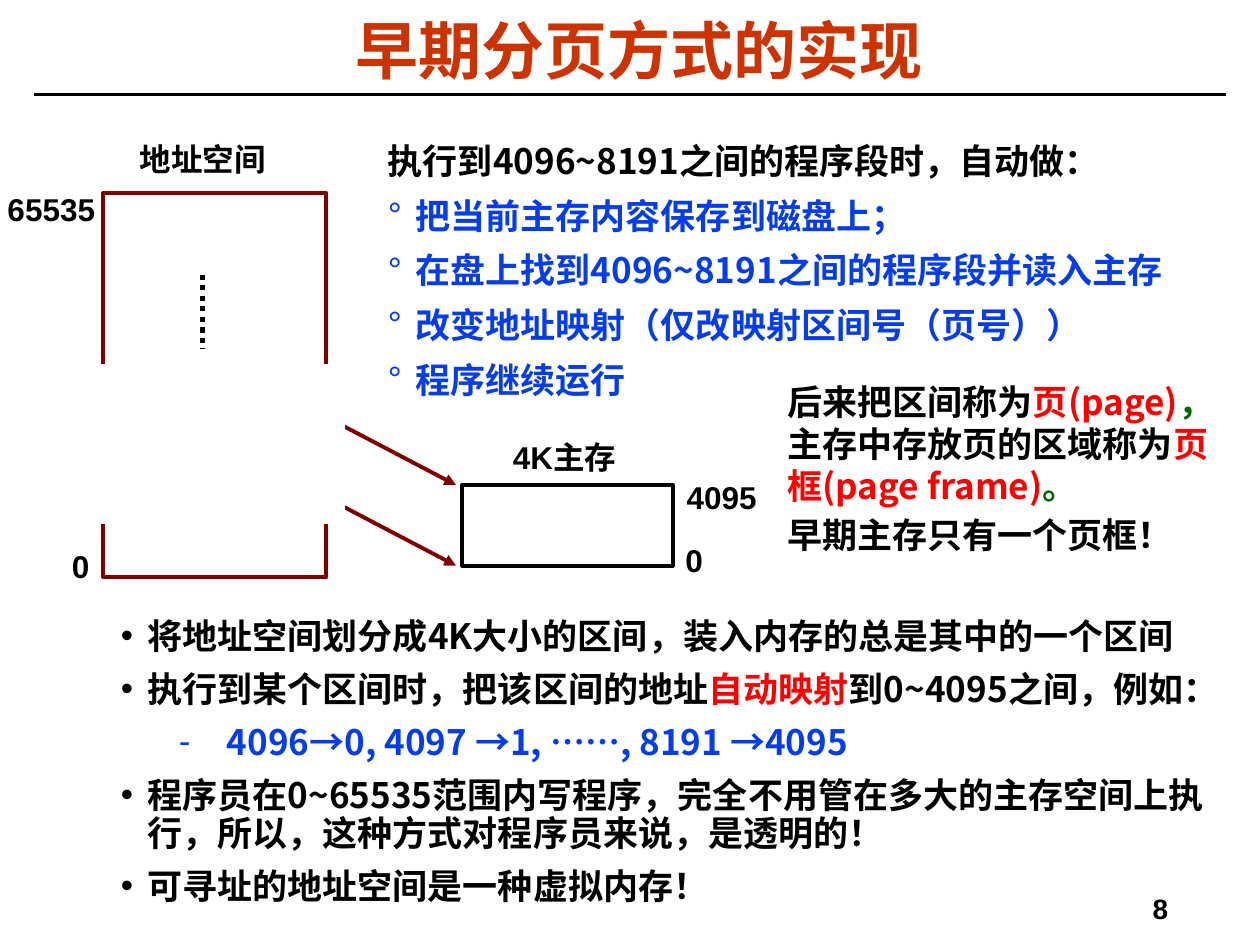
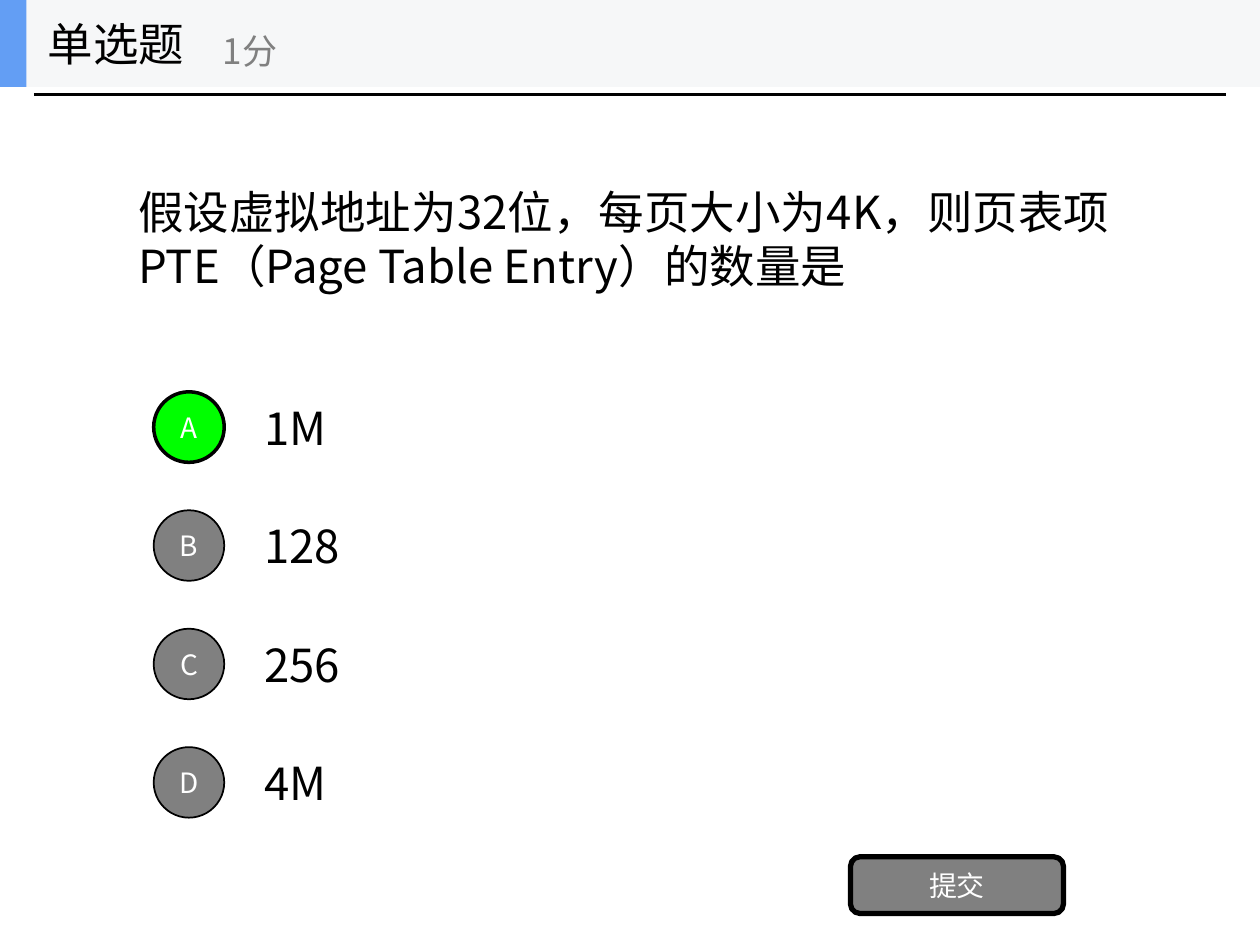
"""Build two slides: early paging implementation and a single-choice question."""
import pptx
import pptx.dml.color
import pptx.enum.dml
import pptx.enum.shapes
import pptx.enum.text
import pptx.oxml.ns
import pptx.util
from lxml import etree

Inches, Pt = pptx.util.Inches, pptx.util.Pt
SHAPE = pptx.enum.shapes.MSO_SHAPE
ANCHOR = pptx.enum.text.MSO_ANCHOR
ALIGN = pptx.enum.text.PP_ALIGN
qn = pptx.oxml.ns.qn

COLORS = {
    "black": "000000", "white": "FFFFFF", "title": "CC3300", "blue": "063DE8",
    "red": "FF0000", "green": "006600", "maroon": "800000", "gray": "808080",
    "correct": "00FF00", "band": "F6F7F8", "accent": "639EF4",
}
SANS, CJK = "Arial", "Noto Sans CJK SC"
PADDING = (0.1, 0.05)

TITLE = "早期分页方式的实现"
SUMMARY = [
    (1, [("将地址空间划分成4K大小的区间，装入内存的总是其中的一个区间", "black")]),
    (1, [("执行到某个区间时，把该区间的地址", "black"), ("自动映射", "red"),
         ("到0~4095之间，例如：", "black")]),
    (2, [("4096→0, 4097 →1, ……, 8191 →4095", "blue")]),
    (1, [("程序员在0~65535范围内写程序，完全不用管在多大的主存空间上执行，"
          "所以，这种方式对程序员来说，是透明的！", "black")]),
    (1, [("可寻址的地址空间是一种虚拟内存！", "black")]),
]
LEVELS = {1: ("•", "black", 0.75, -0.21), 2: ("-", "blue", 1.38, -0.38)}
STEPS_HEAD = "执行到4096~8191之间的程序段时，自动做："
STEPS = [
    "把当前主存内容保存到磁盘上；",
    "在盘上找到4096~8191之间的程序段并读入主存",
    "改变地址映射（仅改映射区间号（页号））",
    "程序继续运行",
]
PAGE_NOTE = [
    [("后来把区间称为", "black"), ("页(page)", "red"), ("，", "green"),
     ("主存中存放页的区域称为", "black"), ("页框(page frame)", "red"), ("。", "green")],
    [("早期主存只有一个页框！", "black")],
]
LABELS = [
    ("地址空间", 1.11, 1.11, 2.07),
    ("4K主存", 4.07, 3.48, 1.13),
    ("0", 5.44, 4.29, 0.44),
    ("4095", 5.45, 3.79, 0.74),
    ("0", 0.57, 4.34, 0.44),
    ("65535", 0.06, 1.51, 0.74),
]
QUESTION = "假设虚拟地址为32位，每页大小为4K，则页表项PTE（Page Table Entry）的数量是"
OPTIONS = [("A", "1M"), ("B", "128"), ("C", "256"), ("D", "4M")]
ANSWER = "A"


def rgb(name):
    return pptx.dml.color.RGBColor.from_string(COLORS[name])


def write(p, parts, size, font=CJK, bold=False, leading=None, before=0, align=None):
    """Fill a paragraph with (text, colour) parts."""
    for text, color in parts:
        r = p.add_run()
        r.text = text
        r.font.size, r.font.bold, r.font.name = Pt(size), bold, font
        r.font.color.rgb = rgb(color)
        etree.SubElement(r.font._element, qn("a:ea"), typeface=CJK)
    p.space_before = Pt(before)
    if leading:
        p.line_spacing = Pt(leading)
    if align is not None:
        p.alignment = align


def hang(p, left, indent, bullet=None, color="black"):
    """Set a hanging indent and an optional bullet."""
    pPr = p._p.get_or_add_pPr()
    pPr.set("marL", str(Inches(left)))
    pPr.set("indent", str(Inches(indent)))
    if bullet:
        clr = etree.SubElement(pPr, qn("a:buClr"))
        etree.SubElement(clr, qn("a:srgbClr"), val=COLORS[color])
        etree.SubElement(pPr, qn("a:buFont"), typeface=SANS)
        etree.SubElement(pPr, qn("a:buChar"), char=bullet)


def paragraphs(tf, items):
    """Yield a paragraph of the frame with each item."""
    for i, item in enumerate(items):
        yield (tf.add_paragraph() if i else tf.paragraphs[0]), item


def place(sp, left, top, width, height):
    sp.left, sp.top = Inches(left), Inches(top)
    sp.width, sp.height = Inches(width), Inches(height)


def set_frame(tf, padding=PADDING, anchor=ANCHOR.TOP, wrap=True):
    tf.auto_size = pptx.enum.text.MSO_AUTO_SIZE.NONE
    tf.margin_left = tf.margin_right = Inches(padding[0])
    tf.margin_top = tf.margin_bottom = Inches(padding[1])
    tf.vertical_anchor, tf.word_wrap = anchor, wrap


def add_text(s, box, **frame):
    tf = s.shapes.add_textbox(*map(Inches, box)).text_frame
    set_frame(tf, **frame)
    return tf


def add_box(s, kind, box, fill, line=None, width=1.0, text=None):
    sp = s.shapes.add_shape(kind, *map(Inches, box))
    sp.shadow.inherit = False
    sp.fill.solid()
    sp.fill.fore_color.rgb = rgb(fill)
    if line:
        sp.line.color.rgb, sp.line.width = rgb(line), Pt(width)
    else:
        sp.line.fill.background()
    if text:
        set_frame(sp.text_frame, anchor=ANCHOR.MIDDLE)
        write(sp.text_frame.paragraphs[0], [(text, "white")], 16, align=ALIGN.CENTER)


def add_line(s, x1, y1, x2, y2, color, width, dash=None, arrow=False):
    c = s.shapes.add_connector(pptx.enum.shapes.MSO_CONNECTOR.STRAIGHT,
                               *map(Inches, (x1, y1, x2, y2)))
    c.line.color.rgb, c.line.width = rgb(color), Pt(width)
    if dash:
        c.line.dash_style = dash
    if arrow:
        etree.SubElement(c.line._get_or_add_ln(), qn("a:tailEnd"), type="triangle")
    etree.SubElement(c._element.spPr, qn("a:effectLst"))


def new_slide(prs, layout):
    """Add a slide with the shared rule under its heading."""
    s = prs.slides.add_slide(prs.slide_layouts[layout])
    add_line(s, 0.27, 0.75, 9.73, 0.75, "black", 1.5)
    return s


def paging_slide(prs):
    s = new_slide(prs, 1)
    title, body = s.shapes.title, s.placeholders[1]
    place(title, 0.26, 0.12, 9.63, 0.62)
    set_frame(title.text_frame, anchor=ANCHOR.MIDDLE)
    write(title.text_frame.paragraphs[0], [(TITLE, "title")], 36, SANS, True,
          leading=38, align=ALIGN.CENTER)

    place(body, 0.32, 4.86, 9.36, 2.57)
    set_frame(body.text_frame)
    for i, (p, (level, parts)) in enumerate(paragraphs(body.text_frame, SUMMARY)):
        bullet, color, left, indent = LEVELS[level]
        p.level = level
        hang(p, left, indent, bullet, color)
        write(p, parts, 20, bold=True, leading=21.6, before=8.8 if i else 0)

    add_box(s, SHAPE.RECTANGLE, (0.82, 1.53, 1.77, 3.05), "white", "maroon", 2.25)
    add_line(s, 1.61, 2.18, 1.61, 2.77, "black", 3,
             dash=pptx.enum.dml.MSO_LINE.ROUND_DOT)
    add_box(s, SHAPE.RECTANGLE, (3.67, 3.85, 1.67, 0.64), "white", "black", 2.25)
    for y in (3.31, 3.95):
        add_line(s, 2.59, y, 3.62, y + 0.54, "maroon", 2.25, arrow=True)
    for text, left, top, width in LABELS:
        tf = add_text(s, (left, top, width, 0.3), padding=(0, 0))
        write(tf.paragraphs[0], [(text, "black")], 18, SANS, True, leading=21.6)

    tf = add_text(s, (2.98, 0.96, 6.64, 2.81))
    for i, (p, text) in enumerate(paragraphs(tf, [STEPS_HEAD] + STEPS)):
        color = "blue" if i else "black"
        hang(p, 0.22, -0.22, "°" if i else None, color)
        write(p, [(text, color)], 20, bold=True, leading=31.2)

    tf = add_text(s, (6.25, 3.02, 3.54, 1.39), padding=(0, 0))
    for i, (p, parts) in enumerate(paragraphs(tf, PAGE_NOTE)):
        write(p, parts, 20, bold=True, leading=24, before=3.7 if i else 0)

    tf = add_text(s, (9.05, 7.03, 1.27, 0.37), wrap=False)
    write(tf.paragraphs[0], [("8", "black")], 16, SANS, True)
    add_box(s, SHAPE.RECTANGLE, (0, 2.92, 2.71, 1.21), "white", "white", 4)


def quiz_slide(prs):
    s = new_slide(prs, 6)
    tf = add_text(s, (1, 0.72, 8, 2.34), anchor=ANCHOR.MIDDLE)
    write(tf.paragraphs[0], [(QUESTION, "black")], 26, leading=31.4)

    for i, (letter, text) in enumerate(OPTIONS):
        top = 3.04 + i * 0.94
        tf = add_text(s, (2, top, 7, 0.7), anchor=ANCHOR.MIDDLE, wrap=False)
        write(tf.paragraphs[0], [(text, "black")], 26)
        fill, width = ("correct", 2) if letter == ANSWER else ("gray", 1)
        add_box(s, SHAPE.OVAL, (1.22, top + 0.07, 0.56, 0.56), fill, "black", width, letter)
    add_box(s, SHAPE.ROUNDED_RECTANGLE, (6.75, 6.8, 1.69, 0.45), "gray", "black", 3, "提交")

    add_box(s, SHAPE.RECTANGLE, (0, 0, 10, 0.69), "band")
    add_box(s, SHAPE.RECTANGLE, (0, 0, 0.21, 0.69), "accent")
    for text, box, size, color in (("单选题", (0.28, 0, 2.08, 0.69), 26, "black"),
                                   ("1分", (1.67, 0.12, 2.5, 0.56), 20, "gray")):
        tf = add_text(s, box, anchor=ANCHOR.MIDDLE, wrap=False)
        write(tf.paragraphs[0], [(text, color)], size)


def main():
    prs = pptx.Presentation()
    prs.slide_width, prs.slide_height = Inches(10), Inches(7.5)
    paging_slide(prs)
    quiz_slide(prs)
    prs.save("out.pptx")


if __name__ == "__main__":
    main()
